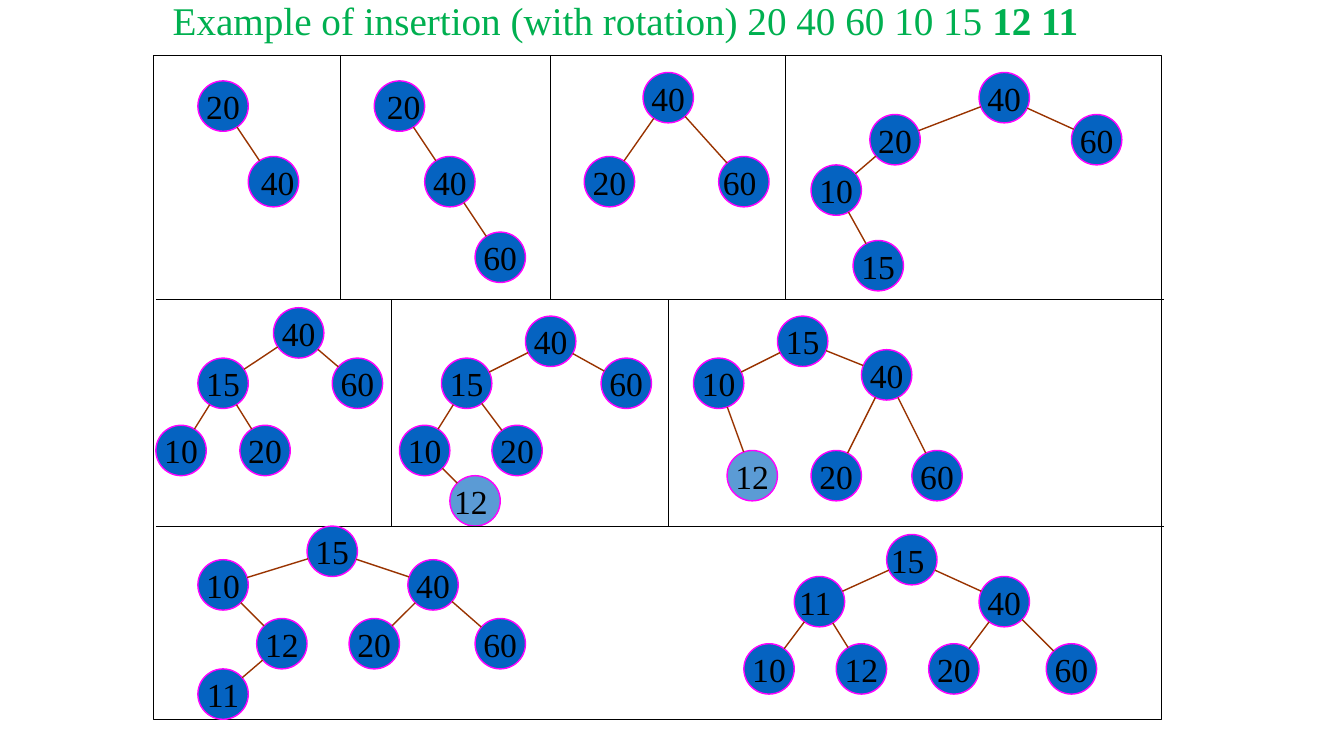
from dataclasses import dataclass
from math import dist

from lxml import etree
from pptx import Presentation
from pptx.dml.color import RGBColor
from pptx.enum.shapes import MSO_CONNECTOR, MSO_SHAPE
from pptx.enum.text import MSO_ANCHOR, PP_ALIGN
from pptx.oxml.ns import qn
from pptx.util import Pt

STRAIGHT = MSO_CONNECTOR.STRAIGHT
NODE_SHAPE = MSO_SHAPE.FLOWCHART_CONNECTOR
RECTANGLE = MSO_SHAPE.RECTANGLE
MIDDLE = MSO_ANCHOR.MIDDLE
CENTER = PP_ALIGN.CENTER


@dataclass(frozen=True)
class Theme:
    font: str = "Times New Roman"
    title_size: int = 28
    node_size: int = 24
    title: str = "00B050"
    text: str = "000000"
    paper: str = "FFFFFF"
    rule: str = "000000"
    edge: str = "993300"
    node: str = "0563C1"
    inserted: str = "5B9BD5"
    outline: str = "FF00FF"
    thin: float = 0.75
    thick: float = 1


@dataclass(frozen=True)
class Panel:
    left: int
    levels: dict
    inserted: str = ""


@dataclass(frozen=True)
class Band:
    top: int
    bottom: int
    dividers: tuple
    panels: tuple


THEME = Theme()
UNIT = 6
NODE_SIDE = 36
RADIUS = NODE_SIDE / 2
GRID_LEFT, GRID_TOP, GRID_WIDTH = 111.35, 39.8, 720
TITLE_BOX = (GRID_LEFT, -4, 762, 36)
FRAME_BOX = (109.4, GRID_TOP, GRID_WIDTH, 474)
BANDS = (
    Band(0, 29, (22, 47, 75), (
        Panel(0, {3: {"20": 5}, 12: {" 40": 11}}),
        Panel(22, {3: {" 20": 4}, 12: {"40": 10}, 21: {"60": 16}}),
        Panel(47, {2: {"40": 11}, 12: {"20": 4, "60 ": 20}}),
        Panel(75, {2: {"40": 23}, 7: {"20": 10, "60": 34}, 13: {"10": 3}, 22: {"15": 8}}),
    )),
    Band(29, 56, (28, 61), (
        Panel(0, {1: {"40": 14}, 7: {"15": 5, "60": 21}, 15: {"10": 0, "20": 10}}),
        Panel(28, {2: {"40": 16}, 7: {"15": 6, "60": 25},
                   15: {"10": 1, "20": 12}, 21: {"12 ": 7}}, "12"),
        Panel(61, {2: {"15": 13}, 6: {"40": 23}, 7: {"10": 3},
                   18: {"12": 7, "20": 17, "60": 29}}, "12"),
    )),
    Band(56, 79, (), (
        Panel(0, {0: {"15": 18}, 4: {"10": 5, "40": 30},
                  11: {"12": 12, "20": 23, "60": 38}, 17: {"11": 5}}),
        Panel(60, {1: {"15 ": 27}, 6: {"11 ": 16, "40": 38},
                   14: {"10": 10, "12": 21, "20": 32, "60": 46}}),
    )),
)


def apply_format(target, values):
    for name, value in values.items():
        setattr(target, name, value)


def add_run(paragraph, text, size, color, bold=False):
    run = paragraph.add_run()
    run.text = text
    apply_format(run.font, {"name": THEME.font, "size": Pt(size), "bold": bold})
    run.font.color.rgb = RGBColor.from_string(color)


def add_box(slide, kind, box, fill, line, width):
    shape = slide.shapes.add_shape(kind, *map(Pt, box))
    shape.shadow.inherit = False
    shape.fill.solid()
    shape.fill.fore_color.rgb = RGBColor.from_string(fill)
    shape.line.color.rgb = RGBColor.from_string(line)
    shape.line.width = Pt(width)
    return shape


def add_line(slide, start, end, color, width):
    connector = slide.shapes.add_connector(STRAIGHT, *map(Pt, (*start, *end)))
    connector.line.color.rgb = RGBColor.from_string(color)
    connector.line.width = Pt(width)
    etree.SubElement(connector._element.spPr, qn("a:effectLst"))


def add_title(slide, box):
    frame = slide.shapes.add_textbox(*map(Pt, box)).text_frame
    apply_format(frame, {
        "word_wrap": True, "vertical_anchor": MIDDLE, "margin_left": Pt(12),
        "margin_top": 0, "margin_bottom": 0,
    })
    paragraph = frame.paragraphs[0]
    add_run(paragraph, "Example of insertion (with rotation) 20 40 60 10 15",
            THEME.title_size, THEME.title)
    add_run(paragraph, " 12 11", THEME.title_size, THEME.title, bold=True)


def add_node(slide, center, label, fill):
    x, y = center
    box = (x - RADIUS, y - RADIUS, NODE_SIDE, NODE_SIDE)
    shape = add_box(slide, NODE_SHAPE, box, fill, THEME.outline, THEME.thick)
    frame = shape.text_frame
    apply_format(frame, {"word_wrap": False, "vertical_anchor": MIDDLE})
    paragraph = frame.paragraphs[0]
    paragraph.alignment = CENTER
    add_run(paragraph, label, THEME.node_size, THEME.text)


def add_edge(slide, parent, child):
    share = RADIUS / dist(parent, child)
    start = [a + (b - a) * share for a, b in zip(parent, child)]
    end = [b - (b - a) * share for a, b in zip(parent, child)]
    add_line(slide, start, end, THEME.edge, THEME.thick)


def find_parent(key, placed):
    smaller = [other for other in placed if other < key]
    larger = [other for other in placed if other > key]
    neighbours = {max(smaller, default=None), min(larger, default=None)}
    return [other for other in placed if other in neighbours][-1]


def add_tree(slide, origin, panel):
    left, top = origin
    centers = {}
    for level, nodes in panel.levels.items():
        for label, offset in nodes.items():
            key = label.strip()
            center = (left + UNIT * offset + RADIUS, top + UNIT * level + RADIUS)
            fill = THEME.inserted if key == panel.inserted else THEME.node
            add_node(slide, center, label, fill)
            if centers:
                add_edge(slide, centers[find_parent(key, centers)], center)
            centers[key] = center


def add_band(slide, band):
    top, bottom = (GRID_TOP + UNIT * edge for edge in (band.top, band.bottom))
    if band.top:
        add_line(slide, (GRID_LEFT, top), (GRID_LEFT + GRID_WIDTH, top),
                 THEME.rule, THEME.thin)
    for divider in band.dividers:
        x = GRID_LEFT + UNIT * divider
        add_line(slide, (x, top), (x, bottom), THEME.rule, THEME.thin)
    for panel in band.panels:
        add_tree(slide, (GRID_LEFT + UNIT * panel.left, top), panel)


def main():
    presentation = Presentation()
    apply_format(presentation, {"slide_width": Pt(960), "slide_height": Pt(540)})
    slide = presentation.slides.add_slide(presentation.slide_layouts[6])
    add_title(slide, TITLE_BOX)
    add_box(slide, RECTANGLE, FRAME_BOX, THEME.paper, THEME.rule, THEME.thin)
    for band in BANDS:
        add_band(slide, band)
    presentation.save("out.pptx")


if __name__ == "__main__":
    main()
